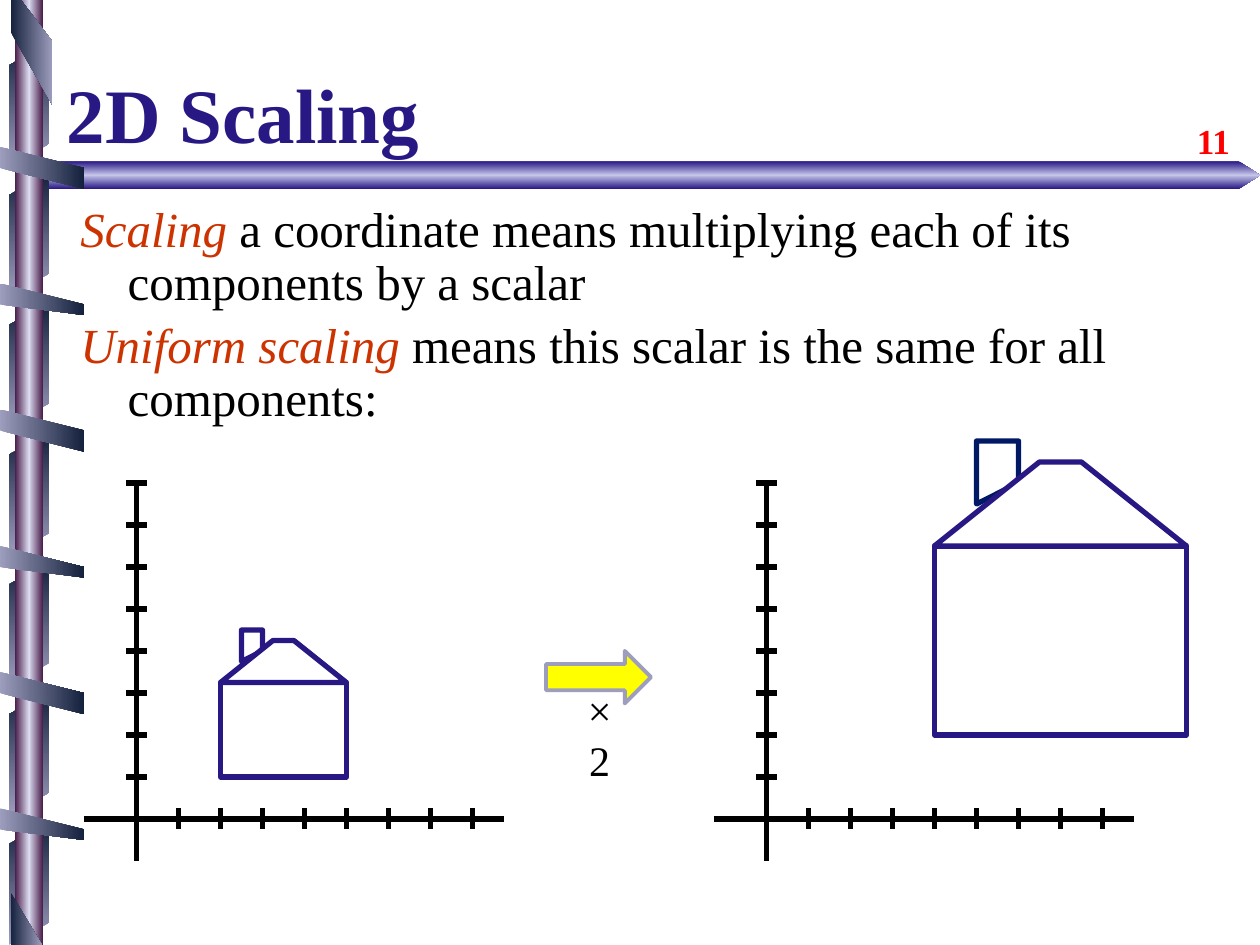
from lxml import etree
from pptx import Presentation
from pptx.dml.color import RGBColor
from pptx.enum.shapes import MSO_CONNECTOR, MSO_SHAPE
from pptx.enum.text import MSO_ANCHOR, PP_ALIGN
from pptx.oxml.ns import qn
from pptx.util import Inches, Pt

STRAIGHT = MSO_CONNECTOR.STRAIGHT
RECTANGLE = MSO_SHAPE.RECTANGLE
PENTAGON = MSO_SHAPE.PENTAGON
OVAL = MSO_SHAPE.OVAL
PARALLELOGRAM = MSO_SHAPE.PARALLELOGRAM
RIGHT_ARROW = MSO_SHAPE.RIGHT_ARROW
TOP, MIDDLE, BOTTOM = MSO_ANCHOR.TOP, MSO_ANCHOR.MIDDLE, MSO_ANCHOR.BOTTOM
LEFT, CENTER = PP_ALIGN.LEFT, PP_ALIGN.CENTER

THEME = {
    "font": "Times New Roman",
    "title_size": 44, "body_size": 28, "label_size": 24, "number_size": 20,
    "ink": "000000", "paper": "FFFFFF", "violet": "271884", "navy": "011965",
    "accent": "CC3300", "number": "FF0000", "arrow": "FFFF00", "arrow_edge": "9D9DBD",
    "bar": ("271884", "C5C5E9", "271884"),
    "knob": ("FEFFFF", "DBDBF1"),
    "pole": ("491D49", "DBDBF1", "491D49"),
    "ribbon_light": ("9D9DBD", "14213C"),
    "ribbon_dark": ("14213C", "9D9DBD"),
}
CELL = Inches(1) // 12
COLUMNS, ROWS = 120, 90

presentation = Presentation()
presentation.slide_width = COLUMNS * CELL
presentation.slide_height = ROWS * CELL
slide = presentation.slides.add_slide(presentation.slide_layouts[6])


def draw(geometry, fill, box=None, line=None, width=3, angle=0, adjustment=None):
    if box:
        shape = slide.shapes.add_shape(geometry, *[round(cells * CELL) for cells in box])
    else:
        builder = slide.shapes.build_freeform(*geometry[0], scale=CELL)
        builder.add_line_segments(geometry[1:], close=True)
        shape = builder.convert_to_shape()
    shape.shadow.inherit = False
    if adjustment is not None:
        shape.adjustments[0] = adjustment
    if isinstance(fill, tuple):
        shape.fill.gradient()
        shape.fill.gradient_angle = angle
        stops = shape._element.spPr.find(".//" + qn("a:gsLst"))
        stops.clear()
        for index, color in enumerate(fill):
            position = 100000 * index // (len(fill) - 1)
            stop = etree.SubElement(stops, qn("a:gs"), pos=str(position))
            etree.SubElement(stop, qn("a:srgbClr"), val=color)
    else:
        shape.fill.solid()
        shape.fill.fore_color.rgb = RGBColor.from_string(fill)
    if line:
        shape.line.color.rgb = RGBColor.from_string(line)
        shape.line.width = Pt(width)
    else:
        shape.line.fill.background()
    return shape


def add_text(paragraphs, box, size, color=THEME["ink"], bold=False, anchor=TOP,
             align=LEFT, hanging=0, line_spacing=None, gap=0, shadow=False):
    text_box = slide.shapes.add_textbox(*[round(cells * CELL) for cells in box])
    frame = text_box.text_frame
    frame.word_wrap = True
    frame.vertical_anchor = anchor
    for index, runs in enumerate(paragraphs):
        paragraph = frame.paragraphs[0] if index == 0 else frame.add_paragraph()
        paragraph.alignment = align
        if line_spacing:
            paragraph.line_spacing = line_spacing
        if index and gap:
            paragraph.space_before = Pt(gap)
        if hanging:
            properties = paragraph._p.get_or_add_pPr()
            properties.set("marL", str(round(hanging * CELL)))
            properties.set("indent", str(round(-hanging * CELL)))
        for text, emphasis in runs:
            run = paragraph.add_run()
            run.text = text
            run.font.size = Pt(size)
            run.font.bold = bold
            run.font.italic = emphasis
            run.font.color.rgb = RGBColor.from_string(THEME["accent"] if emphasis else color)
            if shadow:
                effects = etree.SubElement(run._r.get_or_add_rPr(), qn("a:effectLst"))
                outer = etree.SubElement(effects, qn("a:outerShdw"),
                                         dist="35921", dir="2700000", algn="br")
                etree.SubElement(outer, qn("a:srgbClr"), val="808080")
            run.font.name = THEME["font"]


draw(PENTAGON, THEME["bar"], box=(2.28, 15.36, 117.72, 2.64), angle=90, adjustment=0.77)
draw(OVAL, THEME["knob"], box=(1.68, 15.24, 2.88, 2.64))
for index in range(7):
    ribbon = draw(PARALLELOGRAM, THEME["ribbon_light"], adjustment=0.56,
                  box=(-3.12, 8.04 + 12.36 * index, 11.76, 3.84))
    ribbon.rotation = 90
    ribbon._element.spPr.find(qn("a:xfrm")).set("flipH", "1")
draw(RECTANGLE, THEME["pole"], box=(1.44, 0, 2.64, ROWS))
for index in range(6):
    top = 14.5 + 12.46 * index
    draw([(0, top), (8.28, top + 1.7), (8.28, top + 3.5), (0, top + 1.8)],
         THEME["ribbon_light"])
draw([(0.84, 0), (0.84, 3.48), (4.68, 9.72), (4.68, 4.2), (2.04, 0)], THEME["ribbon_dark"])
draw([(4.08, ROWS), (0.84, 84.6), (0.84, ROWS)], THEME["ribbon_dark"])

add_text([[("11", False)]], (112.8, 10.8, 6.24, 5.16), THEME["number_size"],
         color=THEME["number"], bold=True)
add_text([[("2D Scaling", False)]], (5.16, 1.68, 97.68, 14.04), THEME["title_size"],
         color=THEME["violet"], bold=True, anchor=BOTTOM)
add_text([
    [("Scaling", True),
     (" a coordinate means multiplying each of its components by a scalar", False)],
    [("Uniform scaling", True),
     (" means this scalar is the same for all components:", False)],
], (6.48, 18.96, 111.96, 31.44), THEME["body_size"], hanging=4.5,
    line_spacing=0.9, gap=5.6, shadow=True)

AXIS_ROW = 78
TICK_STEP, TICK_COUNT = 4, 8
CHIMNEY = [(10, 15), (10, 18), (12, 18), (12, 16)]
ROOF = [(8, 13), (13, 17), (15, 17), (20, 13)]
WALL_LEFT, WALL_TOP, WALL_WIDTH, WALL_HEIGHT = 8, 13, 12, 9

for origin, scale, chimney_color in ((13, 1, THEME["violet"]), (73, 2, THEME["navy"])):
    segments = [(origin, 46, origin, 82), (origin - 5, AXIS_ROW, origin + 35, AXIS_ROW)]
    for tick in range(1, TICK_COUNT + 1):
        column, row = origin + TICK_STEP * tick, AXIS_ROW - TICK_STEP * tick
        segments.append((column, AXIS_ROW - 1, column, AXIS_ROW + 1))
        segments.append((origin - 1, row, origin + 1, row))
    for segment in segments:
        connector = slide.shapes.add_connector(STRAIGHT, *[cells * CELL for cells in segment])
        connector.line.color.rgb = RGBColor.from_string(THEME["ink"])
        connector.line.width = Pt(3)
        etree.SubElement(connector._element.spPr, qn("a:effectLst"))

    chimney, roof = [
        [(origin + scale * x, AXIS_ROW - scale * y) for x, y in outline]
        for outline in (CHIMNEY, ROOF)
    ]
    draw(chimney, THEME["paper"], line=chimney_color)
    draw(RECTANGLE, THEME["paper"], line=THEME["violet"],
         box=(origin + scale * WALL_LEFT, AXIS_ROW - scale * WALL_TOP,
              scale * WALL_WIDTH, scale * WALL_HEIGHT))
    draw(roof, THEME["paper"], line=THEME["violet"])

draw(RIGHT_ARROW, THEME["arrow"], box=(52, 62, 10, 5), line=THEME["arrow_edge"], width=2.25)
add_text([[("× 2", False)]], (53.76, 66.96, 6.72, 6), THEME["label_size"],
         anchor=MIDDLE, align=CENTER)

presentation.save("out.pptx")
